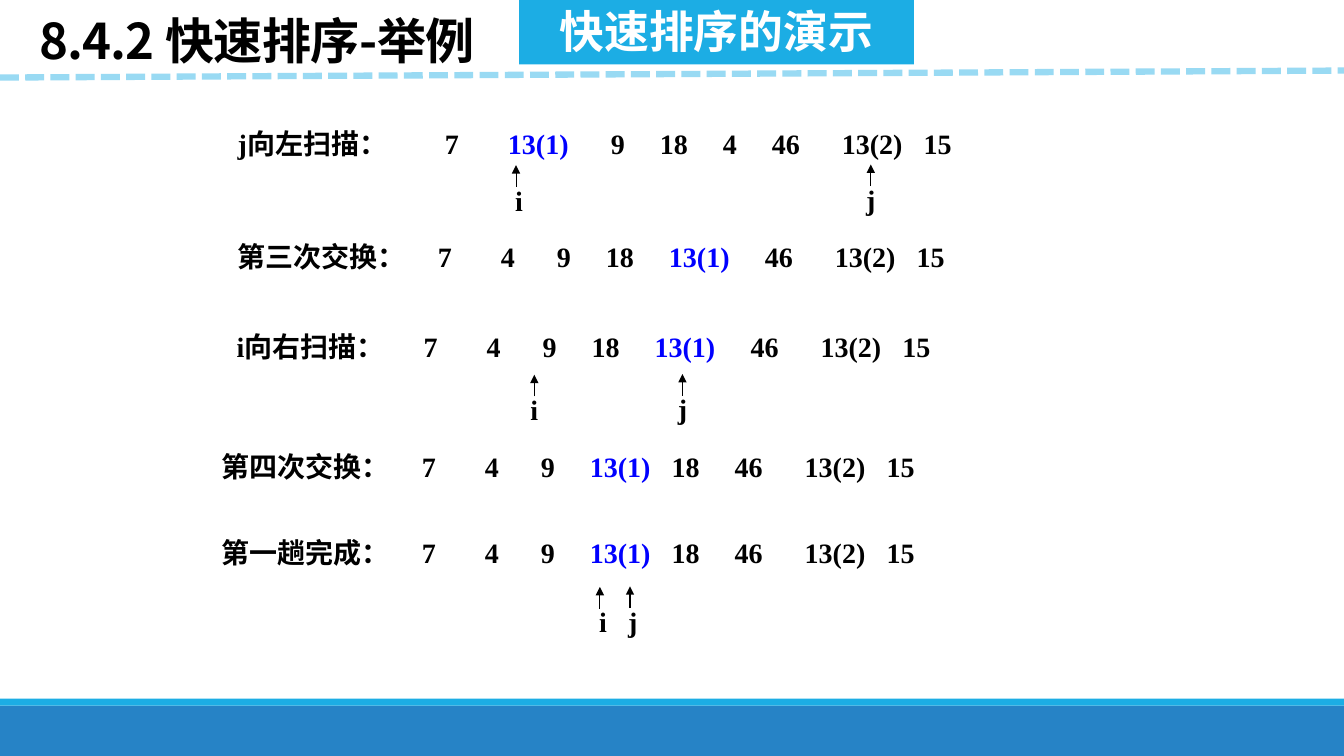
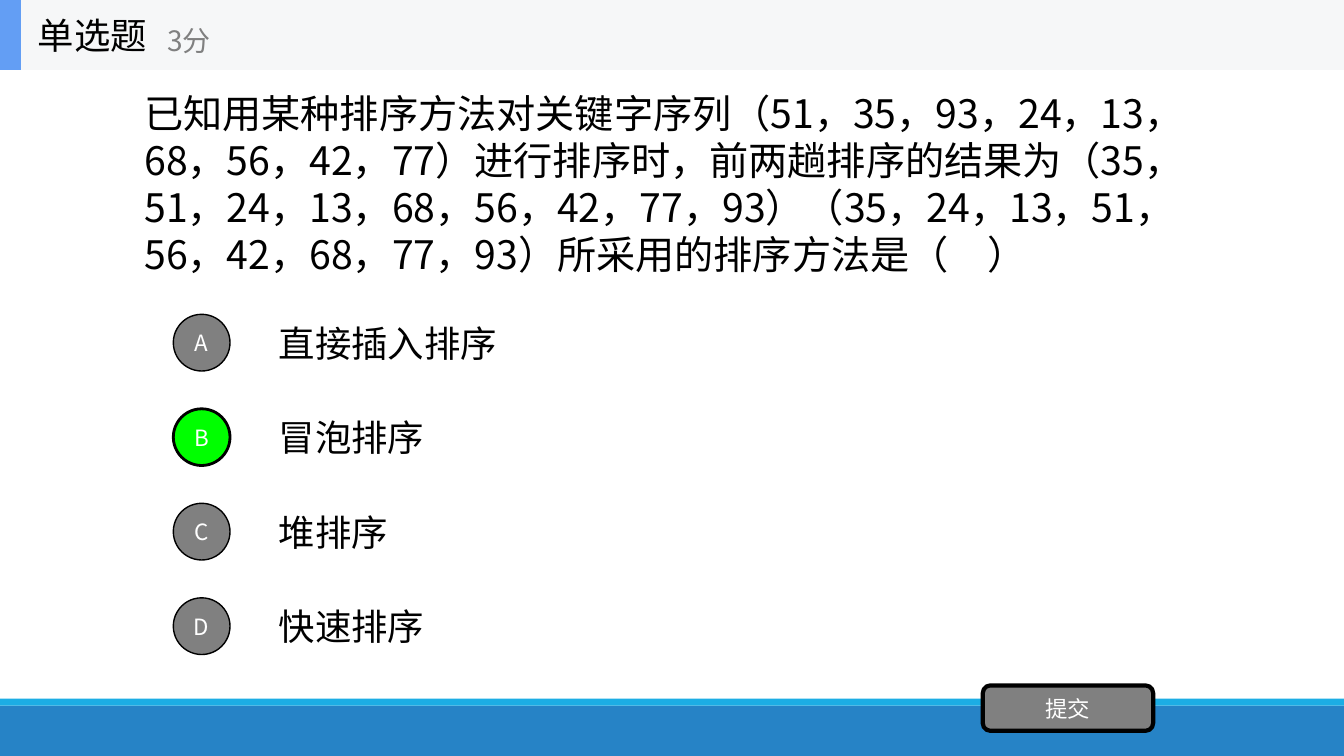
"""Two slides on quicksort: a traced partition and a single-choice question."""
from lxml.etree import SubElement
from pptx import Presentation
from pptx.dml.color import RGBColor
from pptx.enum.dml import MSO_LINE
from pptx.enum.shapes import MSO_CONNECTOR, MSO_SHAPE
from pptx.enum.text import MSO_ANCHOR, PP_ALIGN
from pptx.oxml.ns import qn
from pptx.util import Pt

SANS, SERIF = "Noto Sans CJK SC", "Times New Roman"
BLACK, WHITE, GREY, BLUE = "000000", "FFFFFF", "808080", "0000FF"
SKY, NAVY, PALE = "1CADE4", "2683C6", "99DAF3"
GREEN, HEADER, ACCENT = "00FF00", "F6F7F8", "639EF4"
RECT, OVAL, ROUND = MSO_SHAPE.RECTANGLE, MSO_SHAPE.OVAL, MSO_SHAPE.ROUNDED_RECTANGLE
LEFT, CENTER = PP_ALIGN.LEFT, PP_ALIGN.CENTER


def rgb(value):
    return RGBColor.from_string(value)


def add_box(page, at, text="", size=20, color=BLACK, bold=False, font=SANS,
            align=LEFT, shape=None, fill=None, line=0, wrap=True, tabs=()):
    place = [Pt(length) for length in at]
    if shape is None:
        box = page.shapes.add_textbox(*place)
    else:
        box = page.shapes.add_shape(shape, *place)
        box.shadow.inherit = False
        box.fill.solid()
        box.fill.fore_color.rgb = rgb(fill)
        if line:
            box.line.color.rgb = rgb(BLACK)
            box.line.width = Pt(line)
        else:
            box.line.fill.background()
    if not text:
        return box
    frame = box.text_frame
    frame.word_wrap = wrap
    frame.vertical_anchor = MSO_ANCHOR.MIDDLE
    para = frame.paragraphs[0]
    para.alignment = align
    if tabs:
        stops = SubElement(para._p.get_or_add_pPr(), qn("a:tabLst"))
        for tab in tabs:
            SubElement(stops, qn("a:tab"), pos=str(Pt(tab)), algn="l")
    for piece in [text] if isinstance(text, str) else text:
        span = para.add_run()
        span.text = piece
        span.font.name = font
        SubElement(span._r.get_or_add_rPr(), qn("a:ea"), typeface=SANS)
        span.font.size = Pt(size)
        span.font.bold = bold
        span.font.color.rgb = rgb(color)
    return box


deck = Presentation()
deck.slide_width, deck.slide_height = Pt(960), Pt(540)
pages = [deck.slides.add_slide(deck.slide_layouts[6]) for _ in range(2)]
for page in pages:
    add_box(page, (0, 504, 960, 36), shape=RECT, fill=NAVY)
    add_box(page, (0, 499, 960, 5), shape=RECT, fill=SKY)
trace, quiz = pages

title = add_box(trace, (20.9, 10, 448, 43.2), "8.4.2 快速排序-举例", 35.1, bold=True, wrap=False)
title_para = title.text_frame.paragraphs[0]
title_para.line_spacing = 0.85
title_para.runs[0]._r.get_or_add_rPr().set("spc", "-50")
add_box(trace, (370.8, -2, 282, 48), "快速排序的演示", 32, WHITE, True,
        align=CENTER, shape=RECT, fill=SKY, wrap=False)

rule = trace.shapes.add_connector(MSO_CONNECTOR.STRAIGHT, Pt(0), Pt(55.4), Pt(960), Pt(50.4))
rule.line.color.rgb = rgb(PALE)
rule.line.width = Pt(4.5)
rule.line.dash_style = MSO_LINE.SQUARE_DOT
SubElement(rule._element.spPr, qn("a:effectLst"))

PIVOT = "13(1)"
done = ["7", "4", "9", PIVOT, "18", "46", "13(2)", "15"]
swapped = ["7", "4", "9", "18", PIVOT, "46", "13(2)", "15"]
swapped_stops = [143, 188, 228, 263, 308, 376.5, 426.5, 485]
done_stops = [143, 188, 228, 263, 321.5, 366.5, 416.5, 475]
rows = [
    ("j向左扫描：", 162.7, 86.4, ["7", PIVOT, "9", "18", "4", "46", "13(2)", "15"],
     [148, 193, 266.5, 301.5, 346.5, 381.5, 431.5, 490]),
    ("第三次交换：", 162.7, 167, swapped, swapped_stops),
    ("i向右扫描：", 162, 231.8, swapped, [stop - 9.5 for stop in swapped_stops]),
    ("第四次交换：", 151.2, 317.5, done, done_stops),
    ("第一趟完成：", 151.2, 378.7, done, done_stops),
]
for label, left, top, values, stops in rows:
    pieces = [label] + ["\t" + value for value in values]
    row = add_box(trace, (left, top, 552, 31.7), pieces, bold=True, font=SERIF, tabs=stops)
    row.text_frame.paragraphs[0].runs[values.index(PIVOT) + 1].font.color.rgb = rgb(BLUE)

pointers = [("i", 368.6, 370.7, 118), ("j", 622, 622, 117.5), ("i", 381.7, 381.7, 267.7),
            ("j", 487.5, 487.5, 267.2), ("i", 428.5, 430.7, 419.3), ("j", 450, 452, 418.8)]
for name, arrow_x, name_x, tip in pointers:
    arrow = trace.shapes.add_connector(MSO_CONNECTOR.STRAIGHT, Pt(arrow_x), Pt(tip + 15.5),
                                       Pt(arrow_x), Pt(tip))
    arrow.line.color.rgb = rgb(BLACK)
    arrow.line.width = Pt(0.75)
    SubElement(arrow.line._get_or_add_ln(), qn("a:tailEnd"), type="triangle")
    SubElement(arrow._element.spPr, qn("a:effectLst"))
    add_box(trace, (name_x - 15, tip + 9, 30, 31.5), name, bold=True, font=SERIF, align=CENTER)

question = ("已知用某种排序方法对关键字序列（51，35，93，24，13，68，56，42，77）进行排序时，"
            "前两趟排序的结果为（35，51，24，13，68，56，42，77，93）"
            "（35，24，13，51，56，42，68，77，93）所采用的排序方法是（　）")
add_box(quiz, (96, 46.8, 786, 168.5), question, 28)
for index, answer in enumerate(["直接插入排序", "冒泡排序", "堆排序", "快速排序"]):
    top = 219.5 + 67.5 * index
    correct = answer == "冒泡排序"
    add_box(quiz, (192, top, 672, 50.4), answer, 26)
    add_box(quiz, (123.8, top + 5, 40.5, 40.5), "ABCD"[index], 16, WHITE, align=CENTER,
            shape=OVAL, fill=GREEN if correct else GREY, line=2 if correct else 1)
add_box(quiz, (702, 489.6, 121.7, 32.4), "提交", 16, WHITE, align=CENTER,
        shape=ROUND, fill=GREY, line=3)
add_box(quiz, (0, 0, 960, 50), shape=RECT, fill=HEADER)
add_box(quiz, (0, 0, 15, 50), shape=RECT, fill=ACCENT)
add_box(quiz, (20, 0, 150, 50), "单选题", 26, wrap=False)
add_box(quiz, (112.3, 8.6, 180, 40.3), "3分", 20, GREY, wrap=False)

deck.save("out.pptx")
